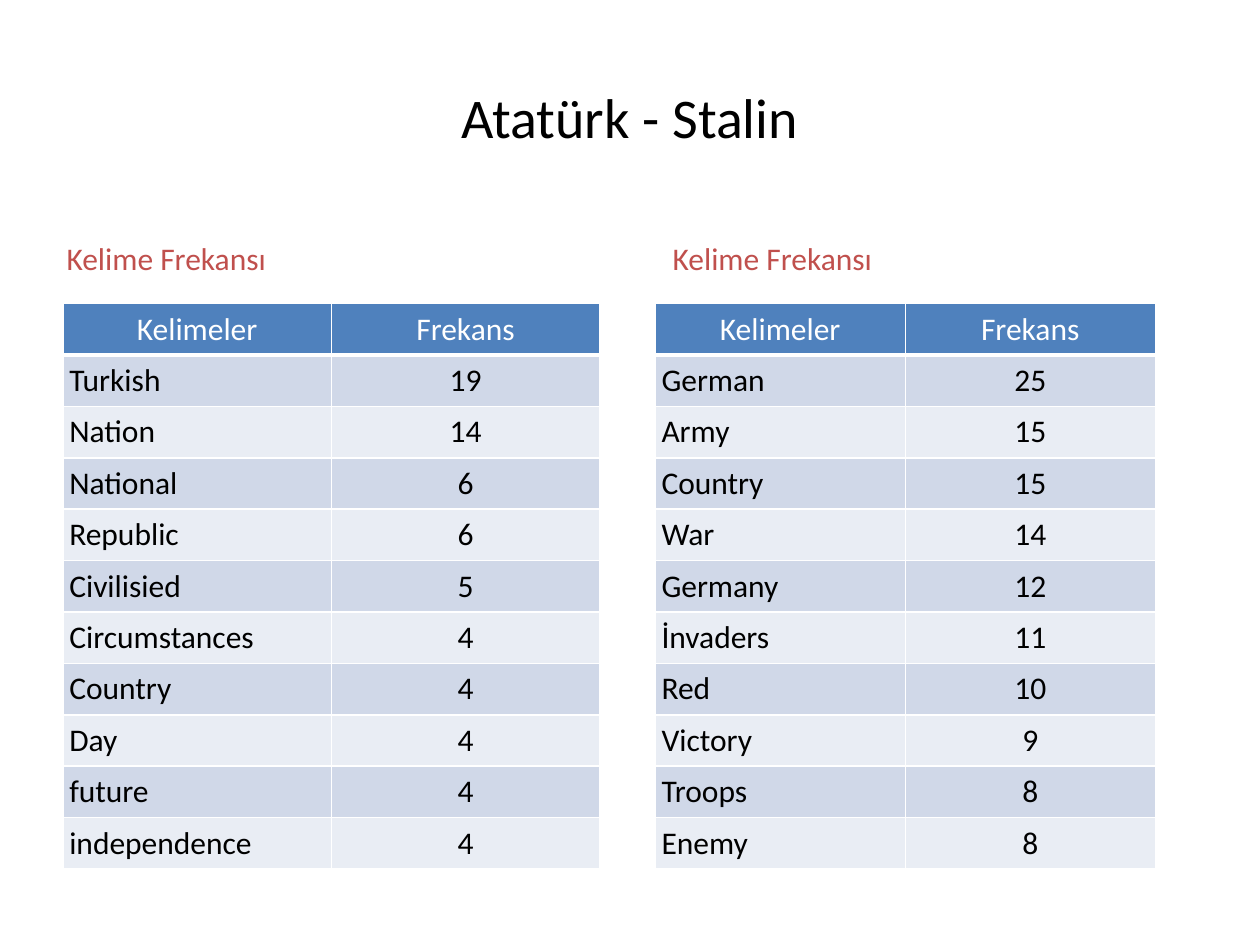
from pptx import Presentation
from pptx.dml.color import RGBColor
from pptx.enum.text import MSO_ANCHOR as Anchor, PP_ALIGN as Align
from pptx.oxml import parse_xml
from pptx.oxml.ns import nsdecls
from pptx.util import Inches, Pt

COLORS = {
    "text": "000000",
    "caption": "C0504D",
    "header": "4F81BD",
    "odd": "D0D8E8",
    "even": "E9EDF4",
    "white": "FFFFFF",
}
HEADINGS = ("Kelimeler", "Frekans")
ATATURK_WORDS = [
    ("Turkish", 19), ("Nation", 14), ("National", 6), ("Republic", 6),
    ("Civilisied", 5), ("Circumstances", 4), ("Country", 4), ("Day", 4),
    ("future", 4), ("independence", 4),
]
STALIN_WORDS = [
    ("German", 25), ("Army", 15), ("Country", 15), ("War", 14),
    ("Germany", 12), ("İnvaders", 11), ("Red", 10), ("Victory", 9),
    ("Troops", 8), ("Enemy", 8),
]


class SlideBuilder:
    font_name = "Calibri"
    body_size = 18
    table_top = 2.41
    table_height = 4.49

    def __init__(self, slide):
        self.slide = slide

    def set_text(self, frame, text, size, color, align):
        frame.text = text
        paragraph = frame.paragraphs[0]
        paragraph.alignment = align
        font = paragraph.font
        font.name, font.size, font.bold = self.font_name, Pt(size), False
        font.color.rgb = RGBColor.from_string(COLORS[color])
        return paragraph

    def title(self, text):
        shape = self.slide.shapes.title
        shape.left, shape.top = Inches(0.5), Inches(0.3)
        shape.width, shape.height = Inches(9), Inches(1.25)
        shape.text_frame.vertical_anchor = Anchor.MIDDLE
        self.set_text(shape.text_frame, text, 32, "text", Align.CENTER)

    def caption(self, text, left):
        box = self.slide.shapes.add_textbox(
            Inches(left), Inches(1.55), Inches(4.3), Inches(0.7))
        frame = box.text_frame
        frame.word_wrap = True
        frame.vertical_anchor = Anchor.BOTTOM
        paragraph = self.set_text(frame, text, self.body_size, "caption", Align.LEFT)
        paragraph.space_before = Pt(0.2 * self.body_size)

    def borders(self, cell, top, bottom):
        properties = cell._tc.get_or_add_tcPr()
        for side, points in (("L", 1), ("R", 1), ("T", top), ("B", bottom)):
            properties.append(parse_xml(
                f'<a:ln{side} {nsdecls("a")} w="{Pt(points)}"><a:solidFill>'
                f'<a:srgbClr val="{COLORS["white"]}"/></a:solidFill></a:ln{side}>'))

    def cell(self, cell, text, row, column):
        is_header = row == 0
        cell.margin_left = cell.margin_right = Inches(0.05)
        cell.margin_top = cell.margin_bottom = Inches(0.04)
        cell.vertical_anchor = Anchor.MIDDLE
        self.borders(cell, top=3 if row == 1 else 1, bottom=3 if is_header else 1)
        fill = "header" if is_header else "odd" if row % 2 else "even"
        cell.fill.solid()
        cell.fill.fore_color.rgb = RGBColor.from_string(COLORS[fill])
        self.set_text(cell.text_frame, text, self.body_size,
                      "white" if is_header else "text",
                      Align.CENTER if is_header or column else Align.LEFT)

    def frequency_table(self, words, left, width):
        rows = [HEADINGS, *words]
        table = self.slide.shapes.add_table(
            len(rows), len(HEADINGS), Inches(left), Inches(self.table_top),
            Inches(width), Inches(self.table_height)).table
        for row, values in enumerate(rows):
            for column, value in enumerate(values):
                self.cell(table.cell(row, column), str(value), row, column)


def main():
    presentation = Presentation()
    presentation.slide_width, presentation.slide_height = Inches(10), Inches(7.5)
    builder = SlideBuilder(presentation.slides.add_slide(presentation.slide_layouts[5]))
    builder.title("Atatürk - Stalin")
    for words, caption_left, table_left, table_width in (
            (ATATURK_WORDS, 0.43, 0.5, 4.26), (STALIN_WORDS, 5.24, 5.2, 3.97)):
        builder.caption("Kelime Frekansı", caption_left)
        builder.frequency_table(words, table_left, table_width)
    presentation.save("out.pptx")


if __name__ == "__main__":
    main()
